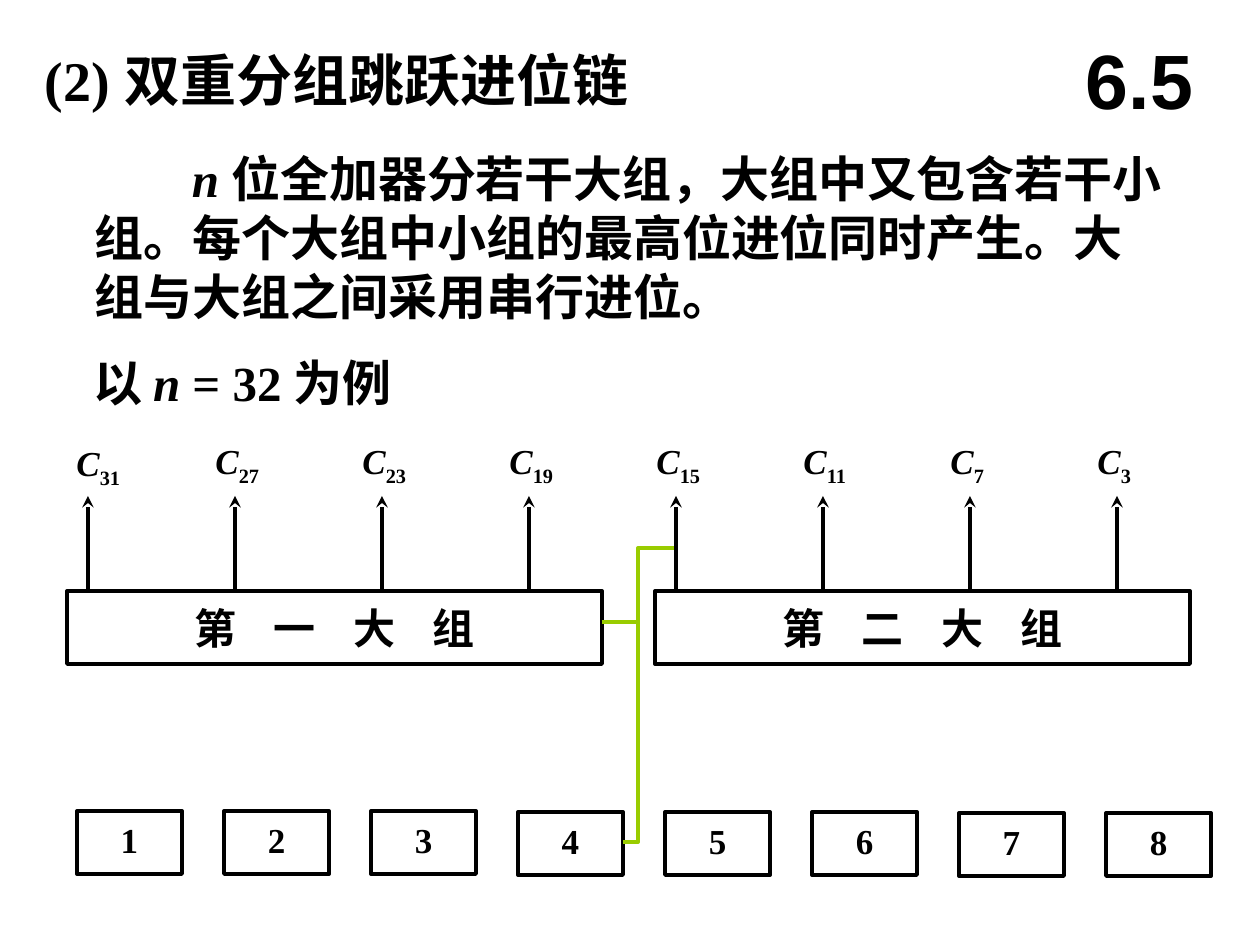
from lxml import etree
from pptx import Presentation
from pptx.dml.color import RGBColor
from pptx.enum.shapes import MSO_CONNECTOR, MSO_SHAPE
from pptx.enum.text import MSO_ANCHOR, MSO_AUTO_SIZE, PP_ALIGN
from pptx.oxml.ns import qn
from pptx.util import Pt

BLACK = RGBColor(0x00, 0x00, 0x00)
GREEN = RGBColor(0x99, 0xCC, 0x00)
SERIF, SANS = "Times New Roman", "Arial"
LEFT, CENTER = PP_ALIGN.LEFT, PP_ALIGN.CENTER
TOP, MIDDLE = MSO_ANCHOR.TOP, MSO_ANCHOR.MIDDLE
NONE = MSO_AUTO_SIZE.NONE
RECT, STRAIGHT = MSO_SHAPE.RECTANGLE, MSO_CONNECTOR.STRAIGHT
SCALE = 914400 / 126

TITLE = "(2) 双重分组跳跃进位链"
SECTION = "6.5"
BODY = [
    ("n ", True),
    ("位全加器分若干大组，大组中又包含若干小组。"
     "每个大组中小组的最高位进位同时产生。大组与大组之间采用串行进位。", False),
]
CASE = [("以 ", False), ("n", True), (" = 32 为例", False)]
GROUPS = ["第 一 大 组", "第 二 大 组"]
CARRIES = ["31", "27", "23", "19", "15", "11", "7", "3"]
UNITS = ["1", "2", "3", "4", "5", "6", "7", "8"]
PITCH = 147
BRANCH = [(623, 842), (638, 842), (638, 548), (676, 548)]


def px(n):
    return round(n * SCALE)


def place(*box):
    return [px(n) for n in box]


def style(para, size, face=SERIF, align=LEFT):
    para.alignment = align
    font = para.font
    font.size, font.name, font.bold = Pt(size), face, True
    font.color.rgb = BLACK


def frame(shape, inset, anchor, wrap=True):
    text = shape.text_frame
    text.word_wrap, text.auto_size = wrap, NONE
    text.vertical_anchor = anchor
    if inset is not None:
        text.margin_left = text.margin_right = px(inset)
        text.margin_top = text.margin_bottom = px(inset)
    return text


def add_runs(para, parts):
    for words, slant in parts:
        run = para.add_run()
        run.text, run.font.italic = words, slant
    return run


def add_text(slide, box, parts, size, inset=None, anchor=MIDDLE,
             wrap=True, face=SERIF, align=LEFT):
    shape = slide.shapes.add_textbox(*place(*box))
    para = frame(shape, inset, anchor, wrap).paragraphs[0]
    last = add_runs(para, parts)
    style(para, size, face, align)
    return para, last


def stroke(shape, color):
    shape.line.color.rgb, shape.line.width = color, Pt(2.25)


def add_box(slide, box, words, size):
    shape = slide.shapes.add_shape(RECT, *place(*box))
    shape.shadow.inherit = False
    shape.fill.background()
    stroke(shape, BLACK)
    text = frame(shape, 0, MIDDLE)
    para = text.paragraphs[0]
    run = add_runs(para, [(words, False)])
    style(para, size, align=CENTER)
    return text, run


def add_line(slide, start, end, color, head=False):
    line = slide.shapes.add_connector(STRAIGHT, *place(*start, *end))
    stroke(line, color)
    if head:
        etree.SubElement(line.line._get_or_add_ln(), qn("a:tailEnd"), type="stealth")
    etree.SubElement(line._element.spPr, qn("a:effectLst"))


def main():
    deck = Presentation()
    deck.slide_width, deck.slide_height = place(1260, 945)
    slide = deck.slides.add_slide(deck.slide_layouts[5])

    title = slide.shapes.title
    title.left, title.top, title.width, title.height = place(32, 32, 998, 95)
    text = frame(title, None, MIDDLE)
    text.text = TITLE
    style(text.paragraphs[0], 32)

    add_text(slide, (1061, 21, 157, 116), [(SECTION, False)], 44,
             face=SANS, align=CENTER)
    para, _ = add_text(slide, (95, 116, 1071, 242), BODY, 28, inset=0)
    para._p.get_or_add_pPr().set("indent", str(px(97)))
    add_text(slide, (93, 357, 348, 49), CASE, 28, inset=0)

    for i, name in enumerate(GROUPS):
        _, run = add_box(slide, (67 + 4 * PITCH * i, 591, 535, 73), name, 24)
        run.font._element.set("spc", "800")

    for i, unit in enumerate(UNITS):
        text, _ = add_box(slide, (77 + PITCH * i, 811 + i // 3, 105, 63), unit, 20)
        text.margin_bottom = px(6)

    add_line(slide, (602, 622), (638, 622), GREEN)
    build = slide.shapes.build_freeform(*BRANCH[0], scale=SCALE)
    build.add_line_segments(BRANCH[1:], close=False)
    branch = build.convert_to_shape()
    branch.shadow.inherit = False
    branch.fill.background()
    stroke(branch, GREEN)

    for i, carry in enumerate(CARRIES):
        x = 88 + PITCH * i
        add_line(slide, (x, 591), (x, 496), BLACK, head=True)
        left, top = (x - 32, 433) if i else (x - 24, 435)
        width = 48 + 12 * len(carry)
        _, run = add_text(slide, (left, top, width, 54),
                          [("C", True), (carry, False)], 20,
                          anchor=TOP, wrap=False)
        run.font._element.set("baseline", "-25000")

    deck.save("out.pptx")


if __name__ == "__main__":
    main()
